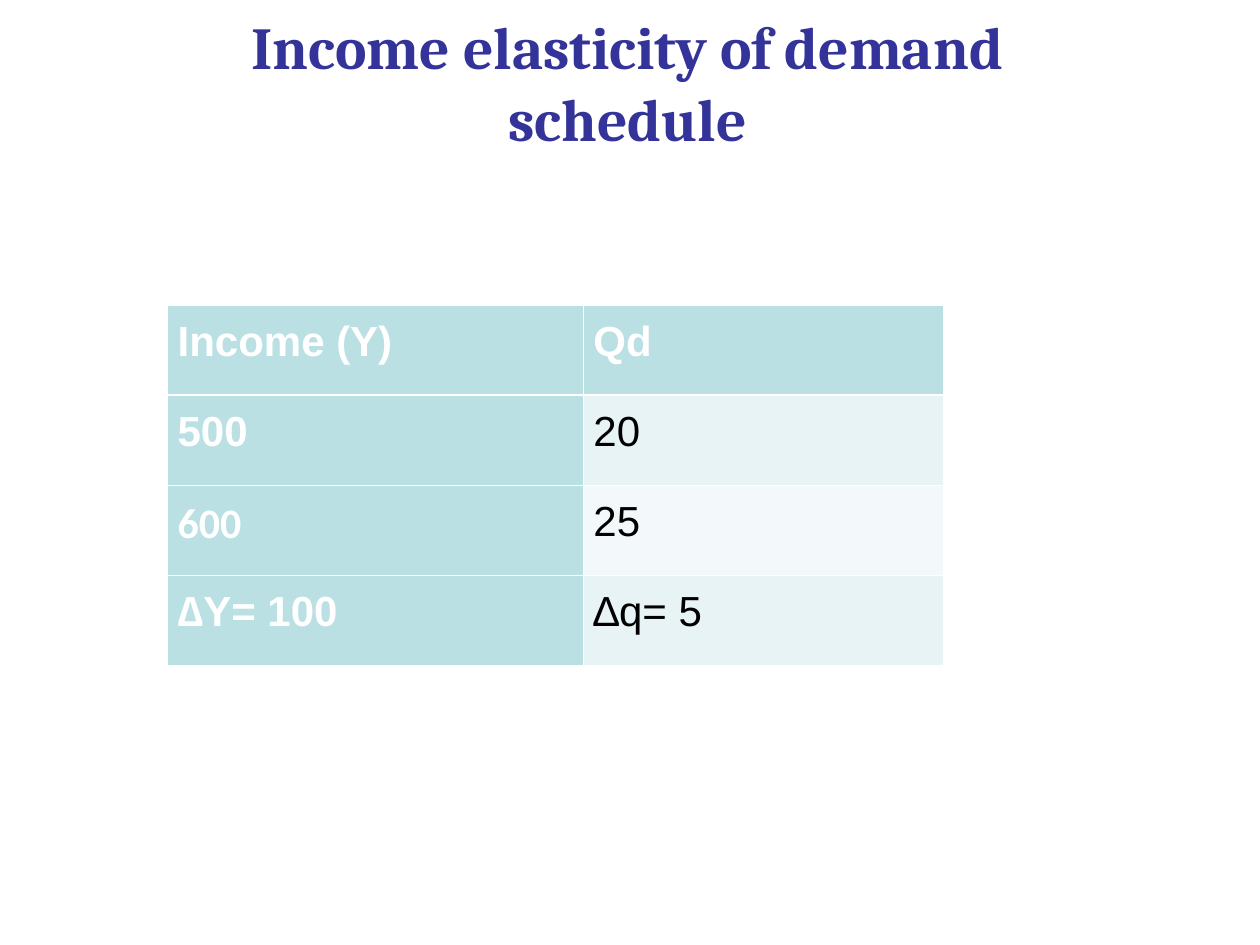
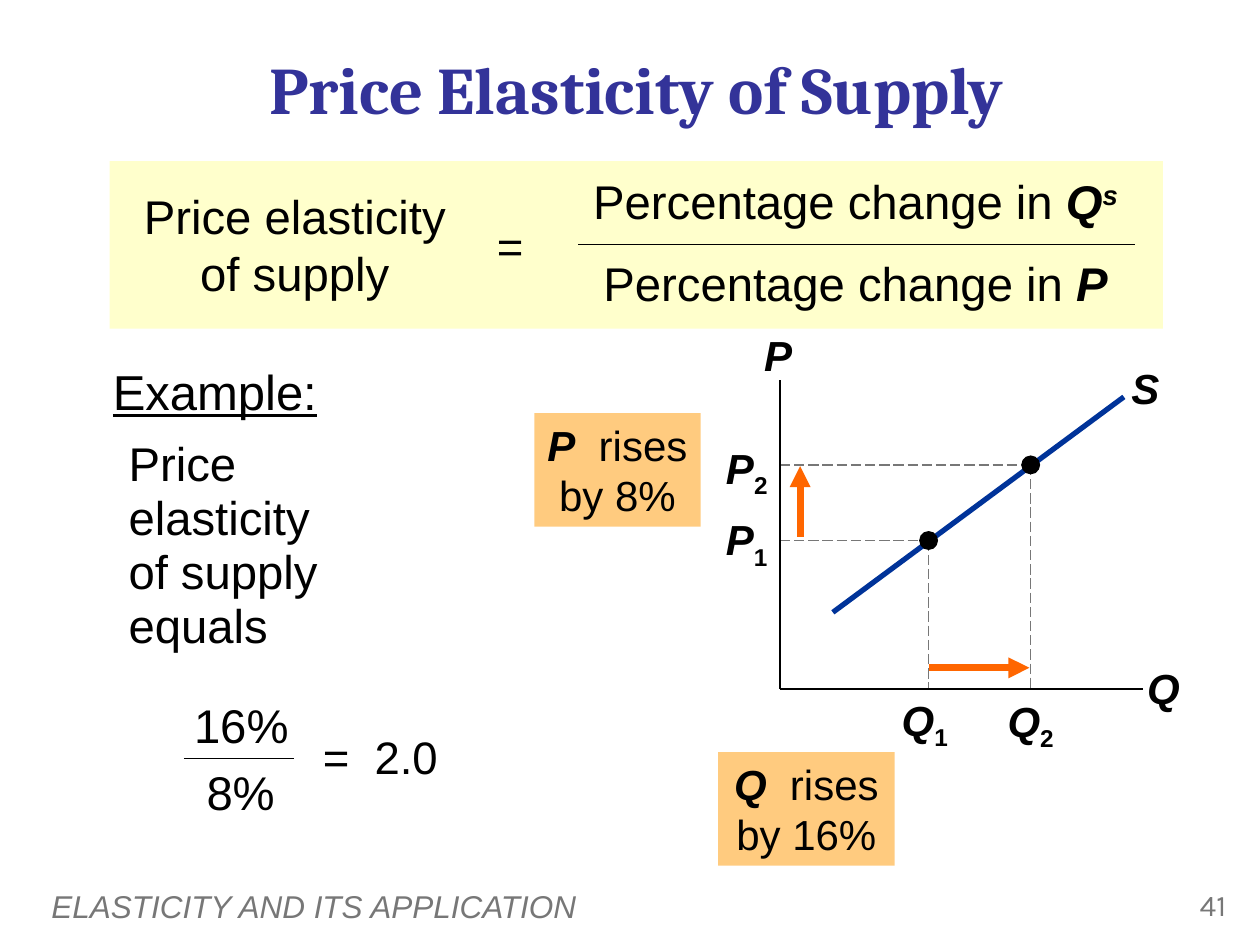
from lxml.etree import SubElement
from pptx import Presentation
from pptx.dml.color import RGBColor
from pptx.enum.dml import MSO_LINE
from pptx.enum.shapes import MSO_CONNECTOR, MSO_SHAPE
from pptx.enum.text import MSO_ANCHOR, MSO_AUTO_SIZE, PP_ALIGN
from pptx.oxml.ns import qn
from pptx.util import Inches, Pt

color = RGBColor.from_string
INK, GREY, NAVY, TITLE = "000000", "777777", "003399", "333399"
ORANGE, CREAM, WHITE, TEAL = "FF6600", "FFFFCC", "FFFFFF", "BBE0E3"
LEFT, CENTER, RIGHT = PP_ALIGN.LEFT, PP_ALIGN.CENTER, PP_ALIGN.RIGHT


def write(frame, runs, size, align=CENTER, ink=INK, face="Arial", anchor=MSO_ANCHOR.TOP):
    frame.word_wrap = True
    frame.auto_size = MSO_AUTO_SIZE.NONE
    frame.vertical_anchor = anchor
    paragraph = frame.paragraphs[0]
    paragraph.alignment = align
    paragraph.space_before = Pt(0)
    for text, style in runs:
        for index, part in enumerate(text.split("\n")):
            if index:
                paragraph.add_line_break()
            run = paragraph.add_run()
            run.text = part
            run.font.name, run.font.size = face, Pt(size)
            run.font.color.rgb = color(ink)
            run.font.bold = "b" in style
            run.font.italic = "i" in style
            run.font.underline = "u" in style
            if "sub" in style:
                run.font._element.set("baseline", "-25000")
            if "sup" in style:
                run.font._element.set("baseline", "30000")
    return paragraph


def draw_line(slide, start, end, ink=INK, width=1, dashed=False, arrow=False):
    line = slide.shapes.add_connector(
        MSO_CONNECTOR.STRAIGHT, *[Inches(v) for v in start + end])
    line.line.color.rgb = color(ink)
    line.line.width = Pt(width)
    if dashed:
        line.line.dash_style = MSO_LINE.LONG_DASH
    if arrow:
        SubElement(line.line._get_or_add_ln(), qn("a:tailEnd"), type="triangle")
    SubElement(line._element.spPr, qn("a:effectLst"))


prs = Presentation()
prs.slide_width, prs.slide_height = Inches(10), Inches(7.5)

slides = []
for layout, heading, size, box in [
    (5, "Income elasticity of demand\nschedule", 34, (0.38, 0.28, 9.2, 0.74)),
    (1, "Price Elasticity of Supply", 38, (0.55, 0.07, 9, 1.25)),
]:
    slide = prs.slides.add_slide(prs.slide_layouts[layout])
    title = slide.shapes.title
    title.left, title.top, title.width, title.height = [Inches(v) for v in box]
    write(title.text_frame, [(heading, "b")], size, ink=TITLE, face="Cambria",
          anchor=MSO_ANCHOR.MIDDLE)
    slides.append(slide)
schedule_slide, supply_slide = slides

schedule_rows = [("Income (Y)", "Qd"), ("500", "20"), ("600", "25"), ("∆Y= 100", "∆q= 5")]
schedule = schedule_slide.shapes.add_table(
    4, 2, Inches(1.33), Inches(2.42), Inches(6.16), Inches(2.86)).table
schedule.columns[0].width = Inches(3.3)
schedule.columns[1].width = Inches(2.86)
for row, values in enumerate(schedule_rows):
    for column, value in enumerate(values):
        cell = schedule.cell(row, column)
        heading = row == 0 or column == 0
        cell.margin_left = cell.margin_right = Inches(0.08)
        cell.margin_top = cell.margin_bottom = Inches(0.05)
        paragraph = write(cell.text_frame, [(value, "b" if heading else "")], 24, LEFT,
                          WHITE if heading else INK, "Calibri" if value == "600" else "Arial")
        paragraph.line_spacing = 1.15
        properties = cell._tc.get_or_add_tcPr()
        for side in "LRTB":
            thick = (row, side) in [(0, "B"), (1, "T")]
            border = SubElement(properties, qn(f"a:ln{side}"),
                                w=str(Pt(1.47 if thick else 0.45)))
            SubElement(SubElement(border, qn("a:solidFill")), qn("a:srgbClr"), val=WHITE)
        cell.fill.solid()
        cell.fill.fore_color.rgb = color(
            TEAL if heading else "E7F3F4" if row % 2 else "F3F9FA")

example = supply_slide.placeholders[1]
example.left, example.top = Inches(0.92), Inches(3.43)
example.width, example.height = Inches(2.33), Inches(1.97)
paragraph = write(example.text_frame, [("Price \nelasticity \nof supply equals", "")], 27, LEFT)
paragraph.line_spacing = 0.95
properties = paragraph._p.get_or_add_pPr()
properties.set("marL", "0")
properties.set("indent", "0")
SubElement(properties, qn("a:buNone"))

axis_x, axis_y = 6.19, 5.47
q1, p1, q2, p2 = 7.37, 4.29, 8.18, 3.69
for quantity, price in [(q1, p1), (q2, p2)]:
    draw_line(supply_slide, (axis_x, price), (quantity, price), GREY, 0.75, dashed=True)
    draw_line(supply_slide, (quantity, price), (quantity, axis_y), GREY, 0.75, dashed=True)
draw_line(supply_slide, (axis_x, 3.02), (axis_x, axis_y))
draw_line(supply_slide, (axis_x, axis_y), (9.07, axis_y))
draw_line(supply_slide, (8.92, 3.15), (6.61, 4.86), NAVY, 3)
draw_line(supply_slide, (6.35, 4.26), (6.35, 3.7), ORANGE, 4, arrow=True)
draw_line(supply_slide, (q1, 5.3), (8.17, 5.3), ORANGE, 4, arrow=True)

dot = 0.15
for kind, box, fill, opacity, runs in [
    (MSO_SHAPE.OVAL, (q1 - dot / 2, p1 - dot / 2, dot, dot), INK, 100, []),
    (MSO_SHAPE.OVAL, (q2 - dot / 2, p2 - dot / 2, dot, dot), INK, 100, []),
    (MSO_SHAPE.RECTANGLE, (4.24, 3.28, 1.32, 0.9), "FF9900", 50,
     [("P", "bi"), ("  rises by 8%", "")]),
    (MSO_SHAPE.RECTANGLE, (5.7, 5.97, 1.4, 0.9), "FF9900", 50,
     [("Q", "bi"), ("  rises by 16%", "")]),
    (MSO_SHAPE.RECTANGLE, (0.87, 1.28, 8.36, 1.33), CREAM, 100, []),
]:
    shape = supply_slide.shapes.add_shape(kind, *[Inches(v) for v in box])
    shape.shadow.inherit = False
    shape.line.fill.background()
    shape.fill.solid()
    shape.fill.fore_color.rgb = color(fill)
    if opacity < 100:
        tint = shape._element.spPr.find(qn("a:solidFill")).find(qn("a:srgbClr"))
        SubElement(tint, qn("a:alpha"), val=str(opacity * 1000))
    if runs:
        write(shape.text_frame, runs, 24)

for box, size, align, runs in [
    ((5.84, 2.57, 0.67, 0.5), 24, CENTER, [("P", "bi")]),
    ((8.9, 5.21, 0.67, 0.5), 24, CENTER, [("Q", "bi")]),
    ((8.81, 2.83, 0.56, 0.5), 24, CENTER, [("S", "bi")]),
    ((5.54, 3.46, 0.65, 0.56), 24, RIGHT, [("P", "bi"), ("2", ("b", "sub"))]),
    ((5.52, 4.03, 0.67, 0.56), 24, RIGHT, [("P", "bi"), ("1", ("b", "sub"))]),
    ((7.02, 5.46, 0.64, 0.56), 24, CENTER, [("Q", "bi"), ("1", ("b", "sub"))]),
    ((7.88, 5.47, 0.6, 0.56), 24, CENTER, [("Q", "bi"), ("2", ("b", "sub"))]),
    ((1.36, 5.48, 1.11, 0.55), 27, CENTER, [("16%", "")]),
    ((1.37, 6.01, 1.08, 0.55), 27, CENTER, [("8%", "")]),
    ((2.34, 5.74, 1.36, 0.54), 26, CENTER, [("=  2.0", "")]),
    ((0.96, 1.44, 2.76, 1), 27, CENTER, [("Price elasticity of supply", "")]),
    ((3.8, 1.68, 0.5, 0.54), 26, CENTER, [("=", "")]),
    ((4.49, 1.32, 4.6, 0.55), 27, CENTER,
     [("Percentage change in ", ""), ("Q", "bi"), ("s", ("b", "i", "sup"))]),
    ((4.49, 1.97, 4.6, 0.55), 27, CENTER, [("Percentage change in ", ""), ("P", "bi")]),
    ((0.61, 2.82, 2.19, 0.57), 28, CENTER, [("Example:", "u")]),
]:
    label = supply_slide.shapes.add_textbox(*[Inches(v) for v in box])
    write(label.text_frame, runs, size, align)

draw_line(supply_slide, (1.46, 6.02), (2.33, 6.02))
draw_line(supply_slide, (4.59, 1.94), (9.01, 1.94))

for left, width, text, style, size, align, face, anchor in [
    (0.31, 8.02, "ELASTICITY AND ITS APPLICATION", "i", 18, LEFT, "Arial", MSO_ANCHOR.MIDDLE),
    (9.08, 0.75, "41", "", 17, RIGHT, "Karla", MSO_ANCHOR.TOP),
]:
    footer = supply_slide.shapes.add_textbox(
        Inches(left), Inches(6.99), Inches(width), Inches(0.4))
    write(footer.text_frame, [(text, style)], size, align, GREY, face, anchor)

prs.save("out.pptx")
